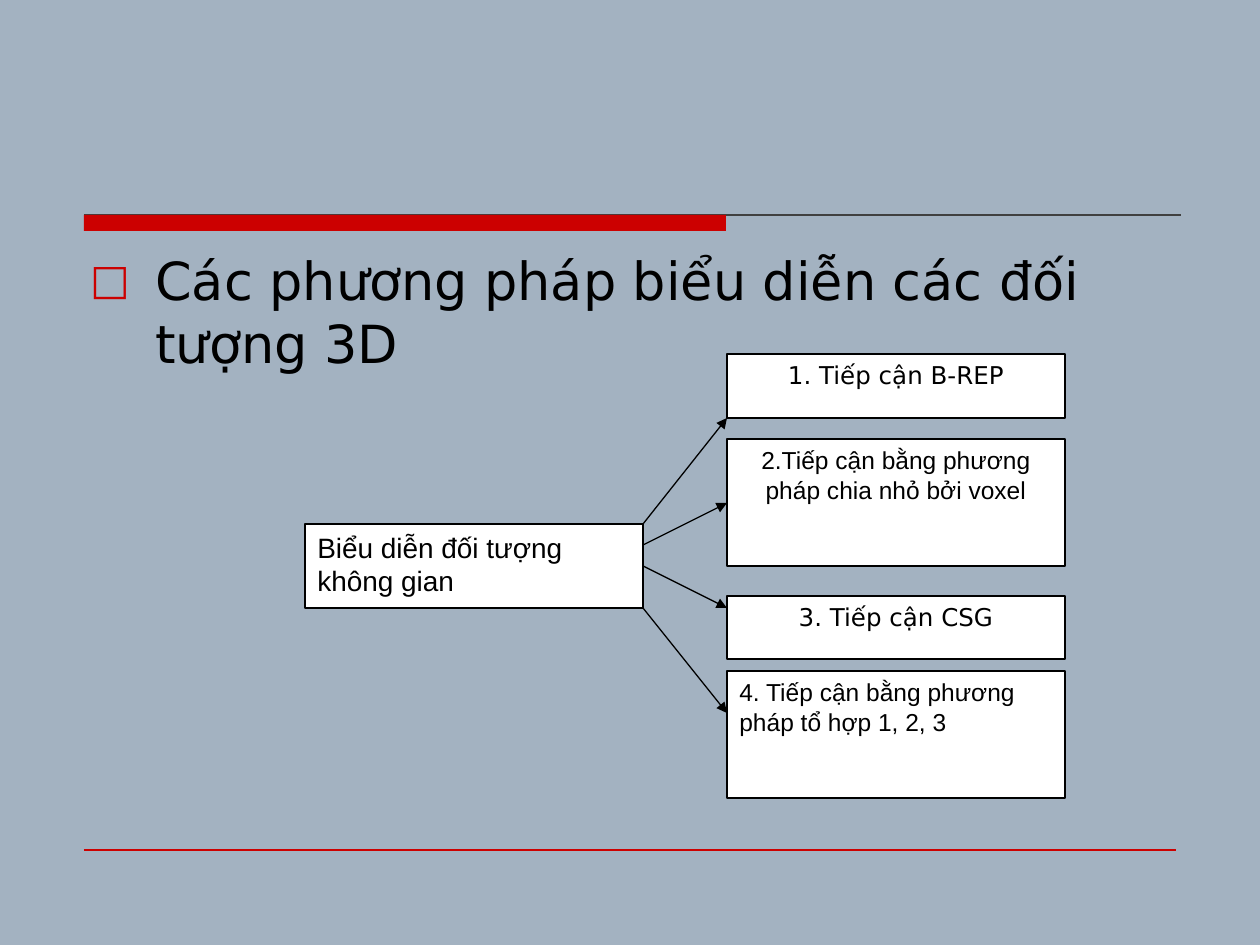
from lxml.etree import SubElement
from pptx import Presentation
from pptx.dml.color import RGBColor
from pptx.enum.shapes import MSO_CONNECTOR as CONN, MSO_SHAPE as SHAPE
from pptx.enum.text import MSO_ANCHOR as ANCHOR, PP_ALIGN as ALIGN
from pptx.oxml.ns import qn
from pptx.util import Pt

SCALE = 914400 / 126
RED, BLACK, WHITE, GREY = "CC0000", "000000", "FFFFFF", "404040"
SANS, ARIAL = "DejaVu Sans", "Arial"

HEADING = "Các phương pháp biểu diễn các đối tượng 3D"
ROOT = ("Biểu diễn đối tượng không gian", 305, 524, 84, 16, ARIAL, ALIGN.LEFT)
BRANCH_X, BOX_W = 727, 338
# text, top, height, font, alignment, arrow start y, arrow end y
BRANCHES = [
    ("1. Tiếp cận B-REP", 354, 64, SANS, ALIGN.CENTER, 524, 418),
    ("2.Tiếp cận bằng phương pháp chia nhỏ bởi voxel", 439, 127, ARIAL, ALIGN.CENTER, 545, 503),
    ("3. Tiếp cận CSG", 596, 63, SANS, ALIGN.CENTER, 566, 608),
    ("4. Tiếp cận bằng phương pháp tổ hợp 1, 2, 3", 671, 127, ARIAL, ALIGN.LEFT, 608, 713),
]


def px(*values):
    return [round(v * SCALE) for v in values]


def color(value):
    return RGBColor.from_string(value)


def write(s, text, size, font, align=ALIGN.LEFT):
    tf = s.text_frame
    tf.word_wrap = True
    tf.vertical_anchor = ANCHOR.TOP
    p = tf.paragraphs[0]
    p.text = text
    p.alignment = align
    f = p.runs[0].font
    f.size, f.name = Pt(size), font
    f.color.rgb = color(BLACK)
    return p


def rect(sp, x, y, w, h, fill, line=None):
    s = sp.add_shape(SHAPE.RECTANGLE, *px(x, y, w, h))
    s.shadow.inherit = False
    s.fill.solid()
    s.fill.fore_color.rgb = color(fill)
    if line:
        s.line.color.rgb = color(line)
        s.line.width = Pt(0.75)
    else:
        s.line.fill.background()
    return s


def box(sp, text, x, y, h, size, font, align):
    write(rect(sp, x, y, BOX_W, h, WHITE, BLACK), text, size, font, align)


def line(sp, x1, y1, x2, y2, stroke, arrow=False):
    s = sp.add_connector(CONN.STRAIGHT, *px(x1, y1, x2, y2))
    s.line.color.rgb = color(stroke)
    s.line.width = Pt(0.75)
    if arrow:
        SubElement(s.line._get_or_add_ln(), qn("a:tailEnd"), type="triangle")
    SubElement(s._element.spPr, qn("a:effectLst"))


def add_bullet(p, char, indent):
    pPr = p._p.get_or_add_pPr()
    pPr.set("marL", str(indent))
    pPr.set("indent", str(-indent))
    SubElement(SubElement(pPr, qn("a:buClr")), qn("a:srgbClr"), val=RED)
    SubElement(pPr, qn("a:buSzPct"), val="80000")
    SubElement(pPr, qn("a:buFont"), typeface=SANS)
    SubElement(pPr, qn("a:buChar"), char=char)


def main():
    """Build the slide of 3D representation approaches."""
    prs = Presentation()
    prs.slide_width, prs.slide_height = px(1260, 945)
    slide = prs.slides.add_slide(prs.slide_layouts[6])
    slide.background.fill.solid()
    slide.background.fill.fore_color.rgb = color("A3B2C1")
    sp = slide.shapes

    line(sp, 84, 215, 1181, 215, GREY)
    rect(sp, 84, 215, 642, 16, RED)
    line(sp, 84, 850, 1176, 850, RED)

    heading = sp.add_textbox(*px(78, 242, 1103, 588))
    add_bullet(write(heading, HEADING, 30, SANS), "□", px(65)[0])

    box(sp, *ROOT)
    for text, y, h, font, align, start, end in BRANCHES:
        box(sp, text, BRANCH_X, y, h, 14, font, align)
        line(sp, ROOT[1] + BOX_W, start, BRANCH_X, end, BLACK, arrow=True)

    prs.save("out.pptx")


if __name__ == "__main__":
    main()
